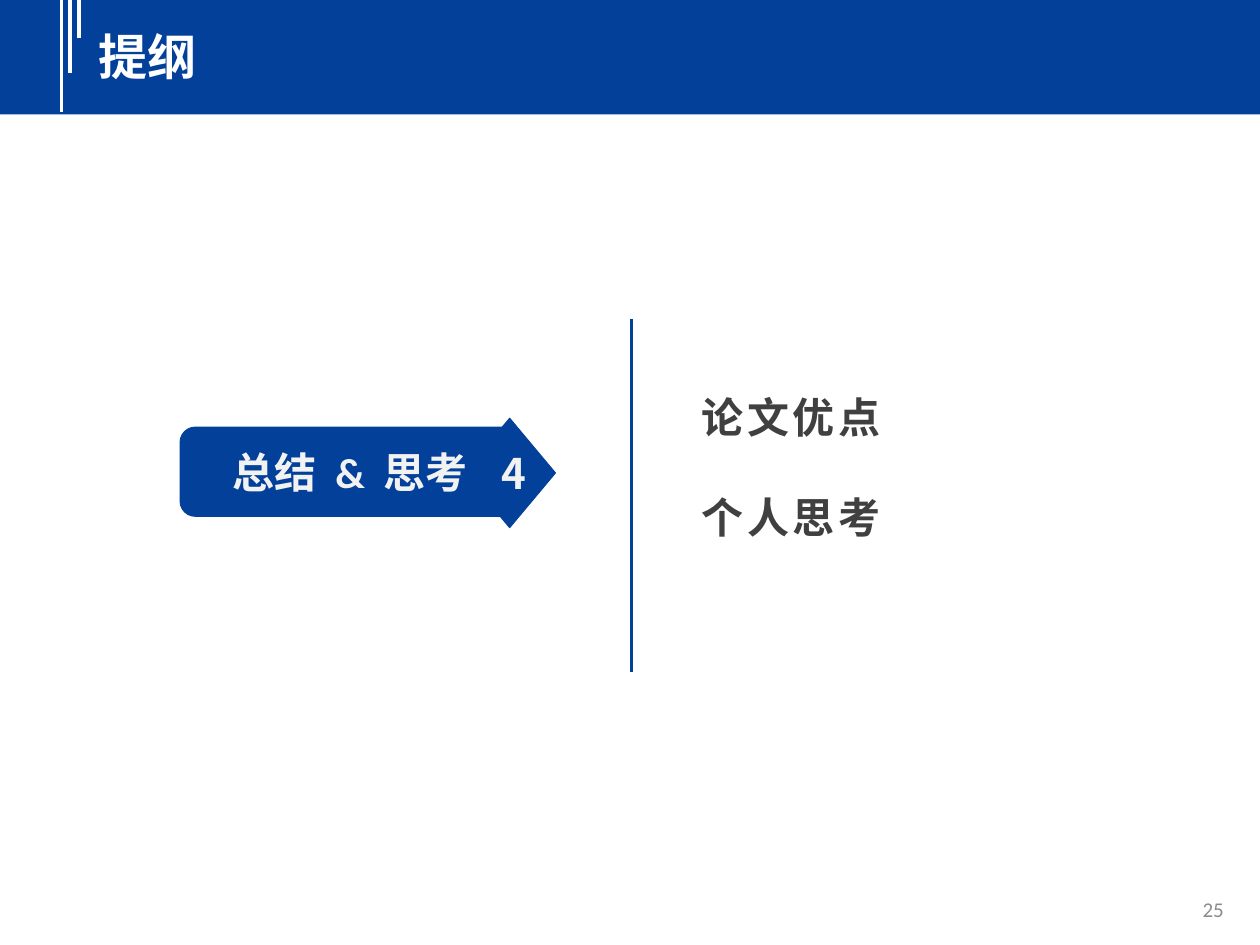
"""Build the outline slide that opens part 4, summary and reflections."""
from pptx import Presentation
from pptx.dml.color import RGBColor
from pptx.enum.shapes import MSO_CONNECTOR, MSO_SHAPE
from pptx.enum.text import MSO_ANCHOR, MSO_AUTO_SIZE, PP_ALIGN
from pptx.oxml.ns import qn
from pptx.util import Cm, Pt

COLOURS = {"blue": "02409A", "white": "FFFFFF", "pale": "F2F2F2",
           "dark": "404040", "grey": "8C8C8C"}
CHINESE = "Noto Sans CJK SC"


def add_span(para, text, colour, size, bold=True, name=CHINESE, spacing=0):
    span = para.add_run()
    span.text = text
    formats = {"size": Pt(size), "bold": bold, "name": name}
    for key, value in formats.items():
        setattr(span.font, key, value)
    span.font.color.rgb = RGBColor.from_string(COLOURS[colour])
    properties = span._r.get_or_add_rPr()
    properties.set("spc", str(spacing))
    latin = properties.find(qn("a:latin"))
    east_asian = properties.makeelement(qn("a:ea"), {"typeface": CHINESE})
    latin.addnext(east_asian)


def add_line(page, left, top, bottom, colour, width):
    line = page.shapes.add_connector(
        MSO_CONNECTOR.STRAIGHT, Cm(left), Cm(top), Cm(left), Cm(bottom))
    line.line.color.rgb = RGBColor.from_string(COLOURS[colour])
    line.line.width = Pt(width)
    properties = line._element.spPr
    properties.append(properties.makeelement(qn("a:effectLst"), {}))


deck = Presentation()
deck.slide_width, deck.slide_height = Cm(25.4), Cm(19.05)
page = deck.slides.add_slide(deck.slide_layouts[1])
title, body = page.placeholders

number = page.shapes.add_textbox(Cm(23.42), Cm(17.81), Cm(1.5), Cm(1.02))
number.text_frame.word_wrap = True
number.text_frame.vertical_anchor = MSO_ANCHOR.MIDDLE
para = number.text_frame.paragraphs[0]
para.alignment = PP_ALIGN.RIGHT
add_span(para, "25", "grey", 12, bold=False, name="Calibri")

add_line(page, 12.73, 6.43, 13.54, "blue", 1.5)

band = page.shapes.add_shape(
    MSO_SHAPE.RECTANGLE, Cm(0), Cm(-0.08), Cm(25.4), Cm(2.39))
label = page.shapes.add_shape(
    MSO_SHAPE.ROUNDED_RECTANGLE, Cm(3.63), Cm(8.61), Cm(6.86), Cm(1.8))
label.adjustments[0] = 0.17
pointer = page.shapes.add_shape(
    MSO_SHAPE.DIAMOND, Cm(9.35), Cm(8.43), Cm(1.85), Cm(2.21))
for shape in (band, label, pointer):
    shape.shadow.inherit = False
    shape.fill.solid()
    shape.fill.fore_color.rgb = RGBColor.from_string(COLOURS["blue"])
    shape.line.color.rgb = RGBColor.from_string(COLOURS["blue"])
    shape.line.width = Pt(0.5)
    shape.text_frame.word_wrap = False
    shape.text_frame.vertical_anchor = MSO_ANCHOR.MIDDLE
    shape.text_frame.paragraphs[0].alignment = PP_ALIGN.CENTER
band.line.fill.background()

for word in ("总结", " ", "&", " ", "思考"):
    add_span(label.text_frame.paragraphs[0], word, "pale", 24,
             name="Calibri", spacing=540 if word == " " else 0)
pointer.text_frame.margin_left = Cm(0.44)
add_span(pointer.text_frame.paragraphs[0], "4", "pale", 24)

for index, bottom in enumerate((2.26, 1.47, 0.76)):
    add_line(page, 1.24 + 0.18 * index, -0.08, bottom, "white", 2.25)

places = ((title, (1.73, 0.41, 23.16, 1.45)), (body, (13.89, 7.77, 6.3, 3.48)))
for box, place in places:
    page.shapes._spTree.append(box._element)
    box.left, box.top, box.width, box.height = map(Cm, place)
    formats = {"word_wrap": True, "auto_size": MSO_AUTO_SIZE.NONE,
               "vertical_anchor": MSO_ANCHOR.TOP}
    for key, value in formats.items():
        setattr(box.text_frame, key, value)

para = title.text_frame.paragraphs[0]
para.alignment = PP_ALIGN.LEFT
add_span(para, "提纲", "white", 28)

for index, topic in enumerate(("论文优点", "个人思考")):
    para = body.text_frame.add_paragraph() if index else body.text_frame.paragraphs[0]
    properties = para._p.get_or_add_pPr()
    properties.set("marL", "0")
    properties.set("indent", "0")
    properties.append(properties.makeelement(qn("a:buNone"), {}))
    para.space_before = Pt(28 * index)
    add_span(para, topic, "dark", 24, spacing=200)

deck.save("out.pptx")
